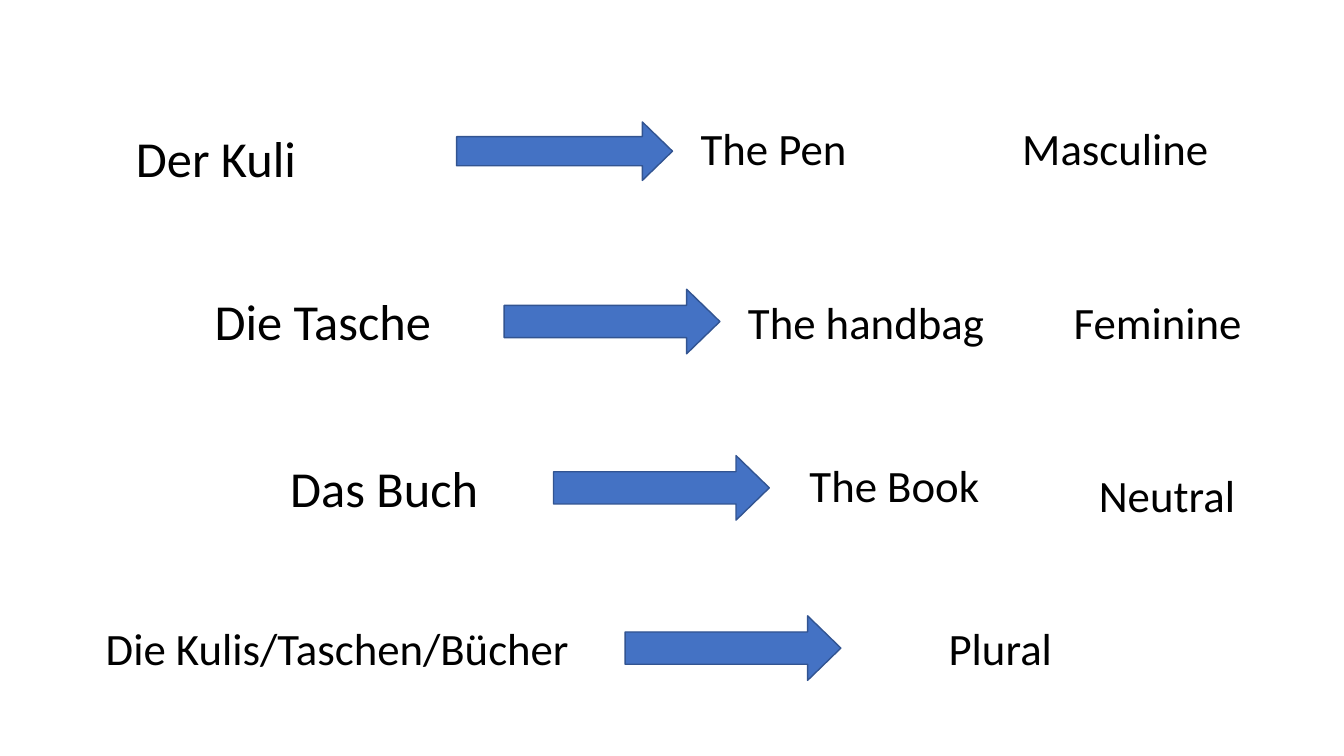
from pptx import Presentation
from pptx.dml.color import RGBColor
from pptx.enum.shapes import MSO_SHAPE
from pptx.enum.text import MSO_AUTO_SIZE
from pptx.util import Pt

PX = 9144
RIGHT_ARROW = MSO_SHAPE.RIGHT_ARROW
GROW = MSO_AUTO_SIZE.SHAPE_TO_FIT_TEXT
BLACK = RGBColor(0x00, 0x00, 0x00)
BLUE = RGBColor(0x44, 0x72, 0xC4)
DARK_BLUE = RGBColor(0x32, 0x54, 0x91)
FONT = "Calibri"
ARROW_WIDTH = 214
TEXT_HEIGHTS = {36: 71, 32: 64}

# Row origin, arrow (x, y, height), words (text, x, y, width, size); offsets from the origin.
ROWS = [
    ((125, 115), (328, 6, 58), [
        ("Der Kuli", 0, 6, 249, 36),
        ("The Pen", 560, 0, 193, 32),
        ("Masculine", 879, 0, 220, 32),
    ]),
    ((203, 283), (297, 4, 64), [
        ("Die Tasche", 0, 0, 249, 36),
        ("The handbag", 529, 4, 304, 32),
        ("Feminine", 852, 4, 220, 32),
    ]),
    ((278, 449), (271, 3, 64), [
        ("Das Buch", 0, 0, 214, 36),
        ("The Book", 515, 0, 200, 32),
        ("Neutral", 802, 10, 169, 32),
    ]),
    ((95, 611), (525, 0, 64), [
        ("Die Kulis/Taschen/Bücher", 0, 0, 525, 32),
        ("Plural", 836, 0, 169, 32),
    ]),
]


def add_word(slide, text, left, top, width, size):
    height = TEXT_HEIGHTS[size]
    shape = slide.shapes.add_textbox(left * PX, top * PX, width * PX, height * PX)
    text_frame = shape.text_frame
    text_frame.word_wrap = True
    text_frame.auto_size = GROW
    text_frame.text = text
    font = text_frame.paragraphs[0].runs[0].font
    font.name = FONT
    font.size = Pt(size)
    font.color.rgb = BLACK


def add_arrow(slide, left, top, height):
    arrow = slide.shapes.add_shape(
        RIGHT_ARROW, left * PX, top * PX, ARROW_WIDTH * PX, height * PX)
    arrow.shadow.inherit = False
    arrow.adjustments[0] = 0.5
    arrow.adjustments[1] = 0.515
    arrow.fill.solid()
    arrow.fill.fore_color.rgb = BLUE
    arrow.line.color.rgb = DARK_BLUE
    arrow.line.width = Pt(1)


def add_row(slide, origin, arrow, words):
    left, top = origin
    arrow_x, arrow_y, arrow_height = arrow
    add_arrow(slide, left + arrow_x, top + arrow_y, arrow_height)
    for text, x, y, width, size in words:
        add_word(slide, text, left + x, top + y, width, size)


def main():
    presentation = Presentation()
    presentation.slide_width = 1333 * PX
    presentation.slide_height = 750 * PX
    blank_layout = presentation.slide_layouts[6]
    slide = presentation.slides.add_slide(blank_layout)
    for origin, arrow, words in ROWS:
        add_row(slide, origin, arrow, words)
    presentation.save("out.pptx")


if __name__ == "__main__":
    main()
